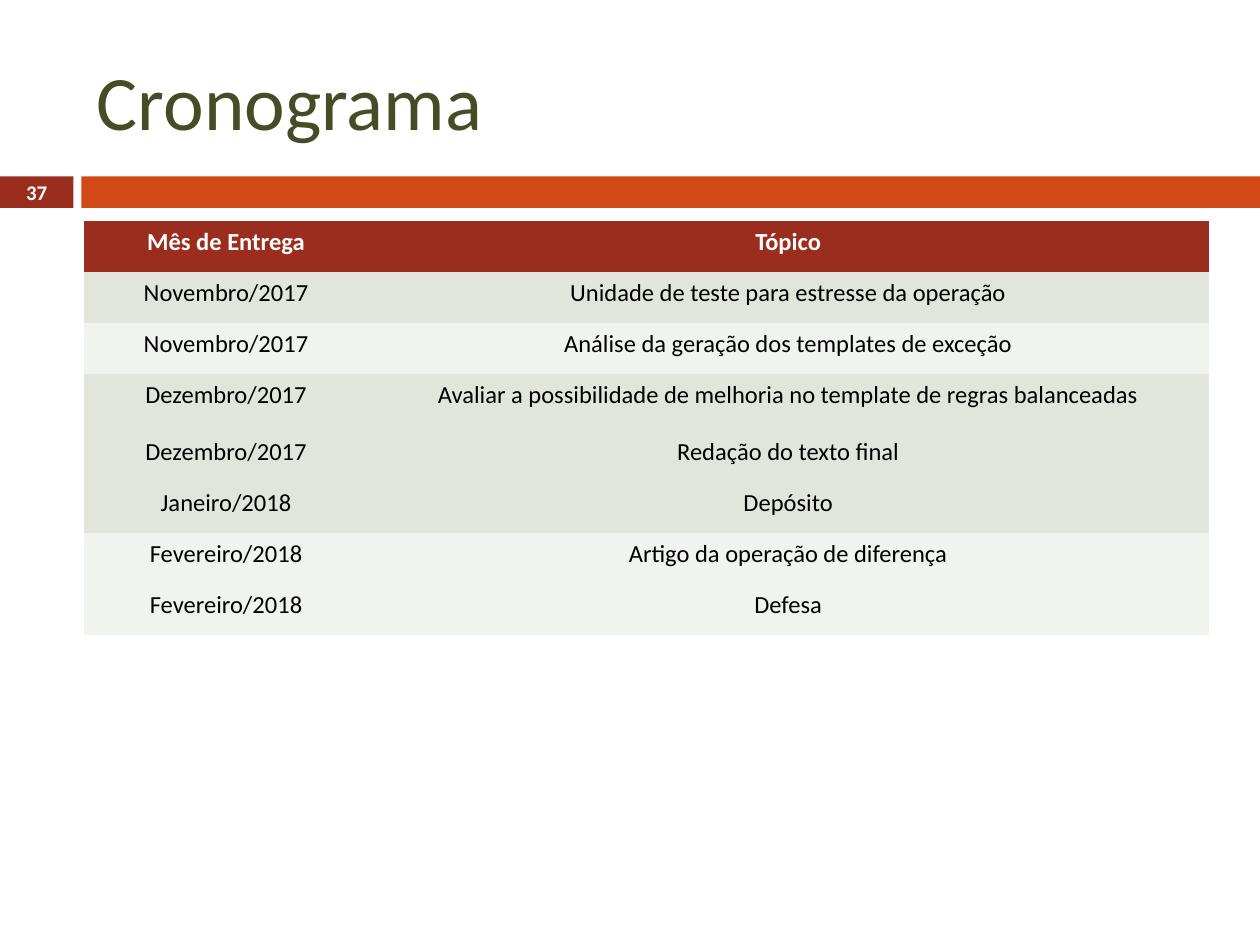
from dataclasses import dataclass

from pptx import Presentation
from pptx.dml.color import RGBColor
from pptx.enum import shapes, text
from pptx.oxml import ns
from pptx.util import Pt

TITLE = "Cronograma"
PAGE_NUMBER = "37"
HEADER = ("Mês de Entrega", "Tópico")
# Deliveries sharing a shade: (shade, [(month, topic), ...])
DELIVERY_GROUPS = [
    ("dark_row", [("Novembro/2017", "Unidade de teste para estresse da operação")]),
    ("light_row", [("Novembro/2017", "Análise da geração dos templates de exceção")]),
    ("dark_row", [
        ("Dezembro/2017", "Avaliar a possibilidade de melhoria no template de regras balanceadas"),
        ("Dezembro/2017", "Redação do texto final"),
        ("Janeiro/2018", "Depósito"),
    ]),
    ("light_row", [
        ("Fevereiro/2018", "Artigo da operação de diferença"),
        ("Fevereiro/2018", "Defesa"),
    ]),
]


@dataclass(frozen=True)
class Theme:
    font: str = "Calibri"
    title: str = "444D26"
    accent: str = "D34817"
    header: str = "9B2D1F"
    dark_row: str = "E1E5DC"
    light_row: str = "F0F3EE"
    white: str = "FFFFFF"
    black: str = "000000"
    title_size: float = 44
    table_size: float = 14
    number_size: float = 11.9


THEME = Theme()
PAGE_WIDTH, PAGE_HEIGHT = 720, 540
LEFT, CONTENT_WIDTH = 48.2, 642.4
BAND_TOP, BAND_HEIGHT = 100.8, 18
NUMBER_WIDTH, BAND_LEFT = 42, 46.5
TABLE_TOP, MONTH_WIDTH = 126.1, 162
ROW_HEIGHT, TALL_ROW, TALL_HEIGHT = 29.2, 3, 32.4
NO_STYLE_NO_GRID = "{2D5ABB26-0587-4C30-8999-92F81FD0307C}"


def fill_solid(target, color):
    target.fill.solid()
    target.fill.fore_color.rgb = RGBColor.from_string(color)


def write(frame, words, size, color, bold=False, align=text.PP_ALIGN.CENTER):
    frame.text = words
    para = frame.paragraphs[0]
    para.alignment = align
    para.font.name = THEME.font
    para.font.size = Pt(size)
    para.font.bold = bold
    para.font.color.rgb = RGBColor.from_string(color)


def add_band(page, left, width, color):
    band = page.shapes.add_shape(shapes.MSO_SHAPE.RECTANGLE, Pt(left), Pt(BAND_TOP),
                                 Pt(width), Pt(BAND_HEIGHT))
    band.shadow.inherit = False
    fill_solid(band, color)
    band.line.fill.background()
    return band


def add_title(page):
    title = page.shapes.title
    title.left, title.top = Pt(LEFT), Pt(18)
    title.width, title.height = Pt(CONTENT_WIDTH), Pt(78)
    write(title.text_frame, TITLE, THEME.title_size, THEME.title,
          align=text.PP_ALIGN.LEFT)
    title.text_frame.vertical_anchor = text.MSO_ANCHOR.MIDDLE


def add_page_number(band):
    frame = band.text_frame
    frame.margin_left = frame.margin_right = frame.margin_top = frame.margin_bottom = 0
    frame.vertical_anchor = text.MSO_ANCHOR.MIDDLE
    write(frame, PAGE_NUMBER, THEME.number_size, THEME.white, bold=True)


def add_schedule(page):
    rows = [(THEME.header, THEME.white, True, HEADER)]
    for shade, deliveries in DELIVERY_GROUPS:
        rows += [(getattr(THEME, shade), THEME.black, False, delivery)
                 for delivery in deliveries]
    heights = [TALL_HEIGHT if index == TALL_ROW else ROW_HEIGHT
               for index in range(len(rows))]
    holder = page.shapes.add_table(len(rows), len(HEADER), Pt(LEFT), Pt(TABLE_TOP),
                                   Pt(CONTENT_WIDTH), Pt(sum(heights)))
    for style in holder.element.iter(ns.qn("a:tableStyleId")):
        style.text = NO_STYLE_NO_GRID
    table = holder.table
    table.horz_banding = False
    for column, width in zip(table.columns, (MONTH_WIDTH, CONTENT_WIDTH - MONTH_WIDTH)):
        column.width = Pt(width)
    for row, height, (fill, color, bold, entries) in zip(table.rows, heights, rows):
        row.height = Pt(height)
        for cell, words in zip(row.cells, entries):
            fill_solid(cell, fill)
            write(cell.text_frame, words, THEME.table_size, color, bold)


def main():
    deck = Presentation()
    deck.slide_width, deck.slide_height = Pt(PAGE_WIDTH), Pt(PAGE_HEIGHT)
    page = deck.slides.add_slide(deck.slide_layouts[5])
    number_band = add_band(page, 0, NUMBER_WIDTH, THEME.header)
    add_band(page, BAND_LEFT, PAGE_WIDTH - BAND_LEFT, THEME.accent)
    add_title(page)
    add_schedule(page)
    add_page_number(number_band)
    deck.save("out.pptx")


if __name__ == "__main__":
    main()
